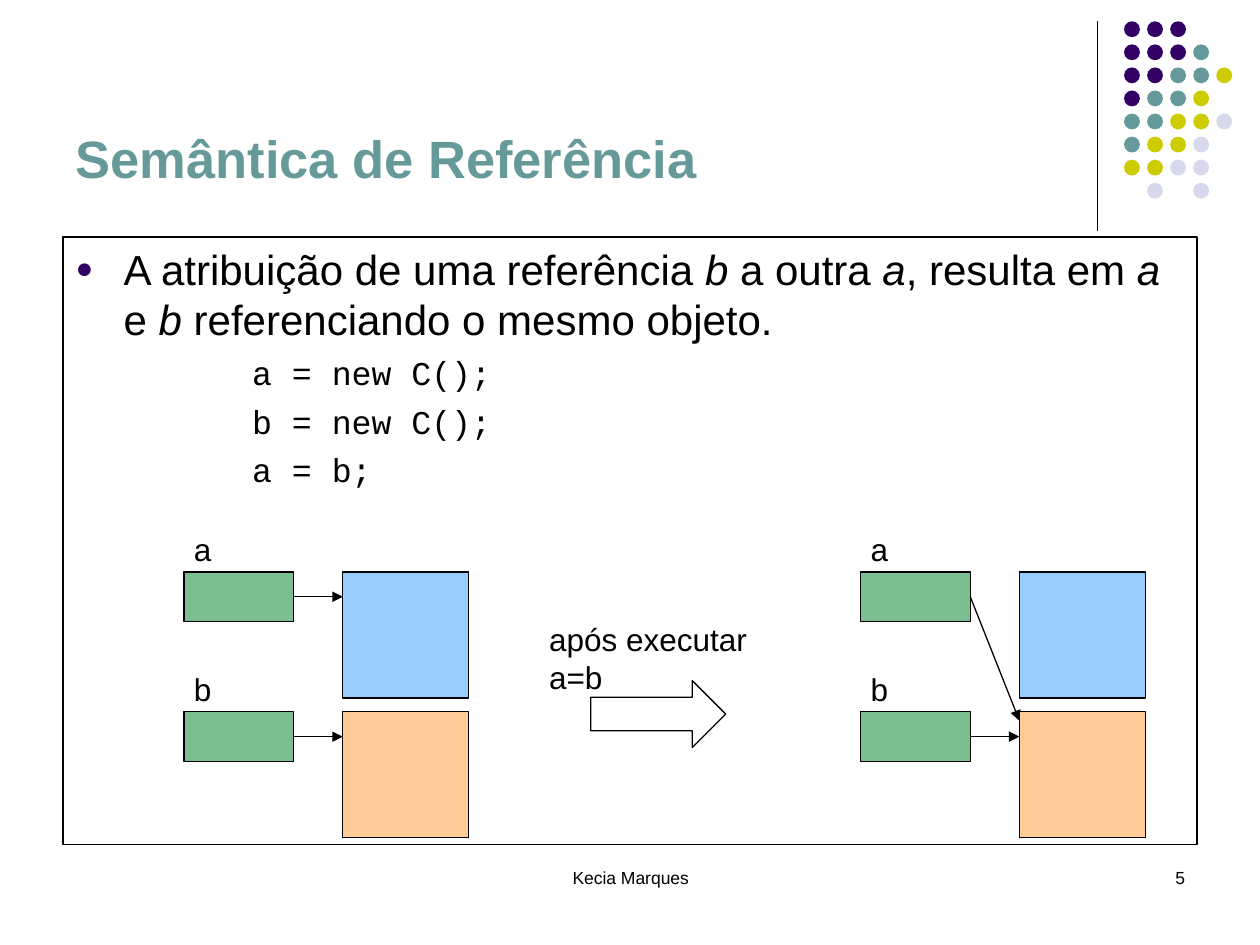
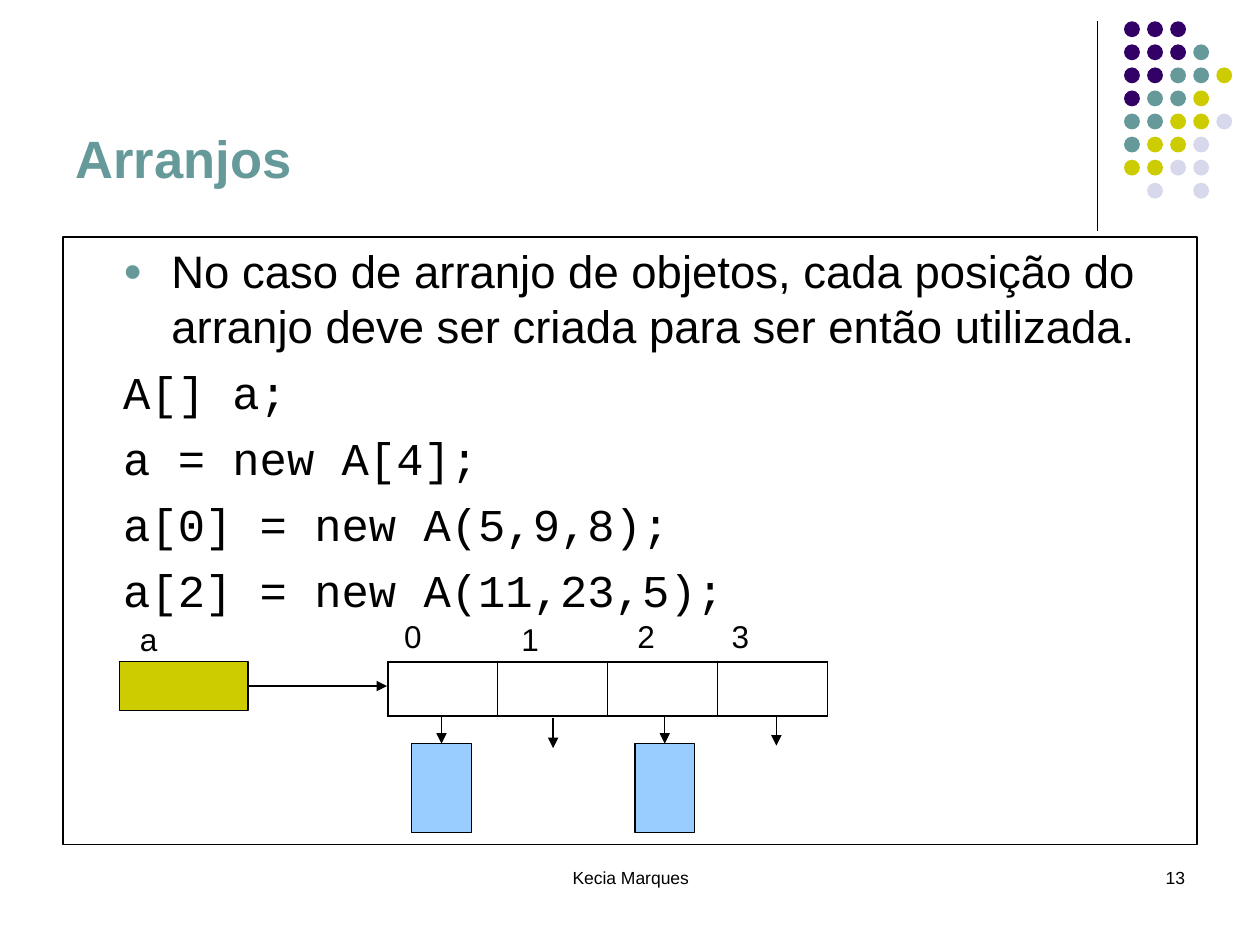
from lxml import etree
from pptx import Presentation
from pptx.dml.color import RGBColor
from pptx.enum.shapes import MSO_CONNECTOR, MSO_SHAPE
from pptx.enum.text import MSO_ANCHOR, MSO_AUTO_SIZE, PP_ALIGN
from pptx.oxml.ns import qn
from pptx.util import Cm, Pt

# ---------- Shared look ----------
COLORS = {
    "black": "000000", "purple": "330066", "teal": "669999", "olive": "CCCC00",
    "lilac": "D8D8EC", "green": "7CBE90", "blue": "99CCFF", "orange": "FFCC99",
}
SANS, MONO = "Arial", "Courier New"
AUTHOR = "Kecia Marques"
DOT_COLORS = {"P": "purple", "T": "teal", "Y": "olive", "L": "lilac"}
DOT_ROWS = ["PPP", "PPPT", "PPTTY", "PTTY", "TTYYL", "TYYL", "YYLL", " L L"]

# ---------- Slide content ----------
# Body paragraphs: style name, then runs as (text, italic)
REFERENCE = {
    "title": "Semântica de Referência",
    "number": "5",
    "body": [
        ("topic", [("A atribuição de uma referência ", False), ("b", True),
                   (" a outra ", False), ("a", True), (", resulta em ", False),
                   ("a", True), (" e ", False), ("b", True),
                   (" referenciando o mesmo objeto.", False)]),
        ("small code", [("a = new C();", False)]),
        ("small code", [("b = new C();", False)]),
        ("small code", [("a = b;", False)]),
    ],
}
ARRAYS = {
    "title": "Arranjos",
    "number": "13",
    "body": [
        ("subtopic", [("No caso de arranjo de objetos, cada posição do arranjo "
                       "deve ser criada para ser então utilizada.", False)]),
        ("code", [("A[] a;", False)]),
        ("code", [("a = new A[4];", False)]),
        ("code", [("a[0] = new A(5,9,8);", False)]),
        ("code", [("a[2] = new A(11,23,5);", False)]),
    ],
}
# Style: level, left margin cm, hanging cm, space before, size, font, bullet colour
STYLES = {
    "topic": (0, 0.97, 0.97, 6, 24, SANS, "purple"),
    "small code": (4, 4.45, 0.89, 4.8, 19, MONO, None),
    "subtopic": (1, 1.93, 0.97, 6.5, 26, SANS, "teal"),
    "code": (1, 1.93, 0.97, 6.5, 26, MONO, None),
}
VARIABLES = [("a", "blue"), ("b", "orange")]
# Array positions: label x, label y, arrow x, arrow top, points to an object
POSITIONS = [
    ("0", 7.9, 12.32, 8.9, 14.43, True),
    ("1", 10.26, 12.37, 11.15, 14.48, False),
    ("2", 12.6, 12.32, 13.4, 14.43, True),
    ("3", 14.5, 12.32, 15.65, 14.43, False),
]


# ---------- Drawing helpers ----------
def rgb(name):
    return RGBColor.from_string(COLORS[name])


def add_run(p, text, size, font=SANS, color="black", bold=None, italic=None):
    r = p.add_run()
    r.text = text
    f = r.font
    f.size, f.name, f.bold, f.italic = Pt(size), font, bold, italic
    f.color.rgb = rgb(color)


def place(sp, x, y, w, h):
    sp.left, sp.top, sp.width, sp.height = Cm(x), Cm(y), Cm(w), Cm(h)


def add_shape(shapes, kind, x, y, w, h, fill=None, outlined=True):
    sp = shapes.add_shape(kind, Cm(x), Cm(y), Cm(w), Cm(h))
    sp.shadow.inherit = False
    if fill:
        sp.fill.solid()
        sp.fill.fore_color.rgb = rgb(fill)
    else:
        sp.fill.background()
    if outlined:
        sp.line.color.rgb = rgb("black")
        sp.line.width = Pt(0.75)
    else:
        sp.line.fill.background()
    return sp


def add_text(s, text, x, y, w=0.86, h=1.02, size=18, align=PP_ALIGN.LEFT, wrap=False):
    tf = s.shapes.add_textbox(Cm(x), Cm(y), Cm(w), Cm(h)).text_frame
    tf.word_wrap = wrap
    p = tf.paragraphs[0]
    p.alignment = align
    add_run(p, text, size)


def add_line(s, x1, y1, x2, y2, arrow=True, begin=None, end=None):
    c = s.shapes.add_connector(MSO_CONNECTOR.STRAIGHT, Cm(x1), Cm(y1), Cm(x2), Cm(y2))
    c.line.color.rgb = rgb("black")
    c.line.width = Pt(0.75)
    if arrow:
        etree.SubElement(c.line._get_or_add_ln(), qn("a:tailEnd"), type="triangle")
    etree.SubElement(c._element.spPr, qn("a:effectLst"))
    if begin:
        c.begin_connect(*begin)
    if end:
        c.end_connect(*end)


def set_bullet(p, color):
    pPr = p._p.get_or_add_pPr()
    if color is None:
        etree.SubElement(pPr, qn("a:buNone"))
        return
    clr = etree.SubElement(pPr, qn("a:buClr"))
    etree.SubElement(clr, qn("a:srgbClr"), val=COLORS[color])
    etree.SubElement(pPr, qn("a:buSzPct"), val="70000")
    etree.SubElement(pPr, qn("a:buFont"), typeface=SANS)
    etree.SubElement(pPr, qn("a:buChar"), char="●")


def fill_body(sp, paragraphs):
    place(sp, 1.27, 4.78, 22.86, 12.24)
    sp.line.color.rgb = rgb("black")
    sp.line.width = Pt(0.75)
    tf = sp.text_frame
    tf.auto_size = MSO_AUTO_SIZE.NONE
    for i, (style, runs) in enumerate(paragraphs):
        level, margin, hanging, before, size, font, bullet = STYLES[style]
        p = tf.add_paragraph() if i else tf.paragraphs[0]
        p.level, p.space_before = level, Pt(before)
        pPr = p._p.get_or_add_pPr()
        pPr.set("marL", str(Cm(margin)))
        pPr.set("indent", str(-Cm(hanging)))
        set_bullet(p, bullet)
        for text, italic in runs:
            add_run(p, text, size, font, italic=italic)


def add_base_slide(prs, content):
    s = prs.slides.add_slide(prs.slide_layouts[1])
    # Corner rule and dots
    add_line(s, 22.12, 0.43, 22.12, 4.65, arrow=False)
    dots = s.shapes.add_group_shape()
    for row, codes in enumerate(DOT_ROWS):
        for col, code in enumerate(codes):
            if code in DOT_COLORS:
                add_shape(dots.shapes, MSO_SHAPE.OVAL, 22.66 + 0.465 * col,
                          0.43 + 0.465 * row, 0.32, 0.32, DOT_COLORS[code], False)
    # Title and body
    title, body = s.placeholders
    place(title, 1.27, 0.33, 20.96, 3.61)
    tf = title.text_frame
    tf.auto_size = MSO_AUTO_SIZE.NONE
    tf.vertical_anchor = MSO_ANCHOR.BOTTOM
    tf.paragraphs[0].alignment = PP_ALIGN.LEFT
    add_run(tf.paragraphs[0], content["title"], 30, color="teal", bold=True)
    fill_body(body, content["body"])
    # Footer
    add_text(s, AUTHOR, 8.69, 17.35, 8.05, 1.27, 10, PP_ALIGN.CENTER, True)
    add_text(s, content["number"], 18.21, 17.35, 5.93, 1.27, 10, PP_ALIGN.RIGHT, True)
    return s


# ---------- Diagrams ----------
def add_references(s, x, assigned):
    """Variables with their objects; once assigned, a points where b does."""
    for i, (name, color) in enumerate(VARIABLES):
        y = 11.53 + 2.82 * i
        mid = y + 0.5
        variable = add_shape(s.shapes, MSO_SHAPE.RECTANGLE, x, y, 2.21, 1, "green")
        add_shape(s.shapes, MSO_SHAPE.RECTANGLE, x + 3.2, y, 2.54, 2.54, color)
        add_text(s, name, x - 0.05, y - 0.96)
        end_y = 14.53 if assigned and name == "a" else mid
        add_line(s, x + 2.21, mid, x + 3.2, end_y, begin=(variable, 3))


def set_borders(cell, first, last):
    tcPr = cell._tc.get_or_add_tcPr()
    widths = {"L": 1.08 if first else 0.45, "R": 1.08 if last else 0.45,
              "T": 1.08, "B": 1.08}
    for i, (side, width) in enumerate(widths.items()):
        ln = etree.Element(qn("a:ln" + side), w=str(Pt(width)))
        fill = etree.SubElement(ln, qn("a:solidFill"))
        etree.SubElement(fill, qn("a:srgbClr"), val=COLORS["black"])
        tcPr.insert(i, ln)


def add_array(s):
    variable = add_shape(s.shapes, MSO_SHAPE.RECTANGLE, 2.41, 13.33, 2.59, 1, "olive")
    add_text(s, "a", 2.57, 12.37)
    count = len(POSITIONS)
    table = s.shapes.add_table(1, count, Cm(7.82), Cm(13.34), Cm(8.86), Cm(1.1)).table
    table.first_row = table.horz_banding = False
    for i, cell in enumerate(table.rows[0].cells):
        cell.fill.background()
        set_borders(cell, i == 0, i == count - 1)
    add_line(s, 5, 13.83, 7.8, 13.83, begin=(variable, 3))
    for label, label_x, label_y, x, top, has_object in POSITIONS:
        add_text(s, label, label_x, label_y)
        end = None
        if has_object:
            obj = add_shape(s.shapes, MSO_SHAPE.RECTANGLE, x - 0.6, 14.99, 1.2, 1.8, "blue")
            end = (obj, 0)
        add_line(s, x, top, x, top + 0.6, end=end)


def main():
    prs = Presentation()
    prs.slide_width, prs.slide_height = Cm(25.4), Cm(19.05)

    # Reference assignment, before and after
    s = add_base_slide(prs, REFERENCE)
    add_references(s, 3.71, assigned=False)
    arrow = add_shape(s.shapes, MSO_SHAPE.RIGHT_ARROW, 11.91, 13.72, 2.72, 1.35)
    arrow.adjustments[1] = 0.5
    add_text(s, "após executar a=b", 10.82, 12.37, 5.74)
    add_references(s, 17.35, assigned=True)

    # Array of objects
    add_array(add_base_slide(prs, ARRAYS))

    prs.save("out.pptx")


if __name__ == "__main__":
    main()
